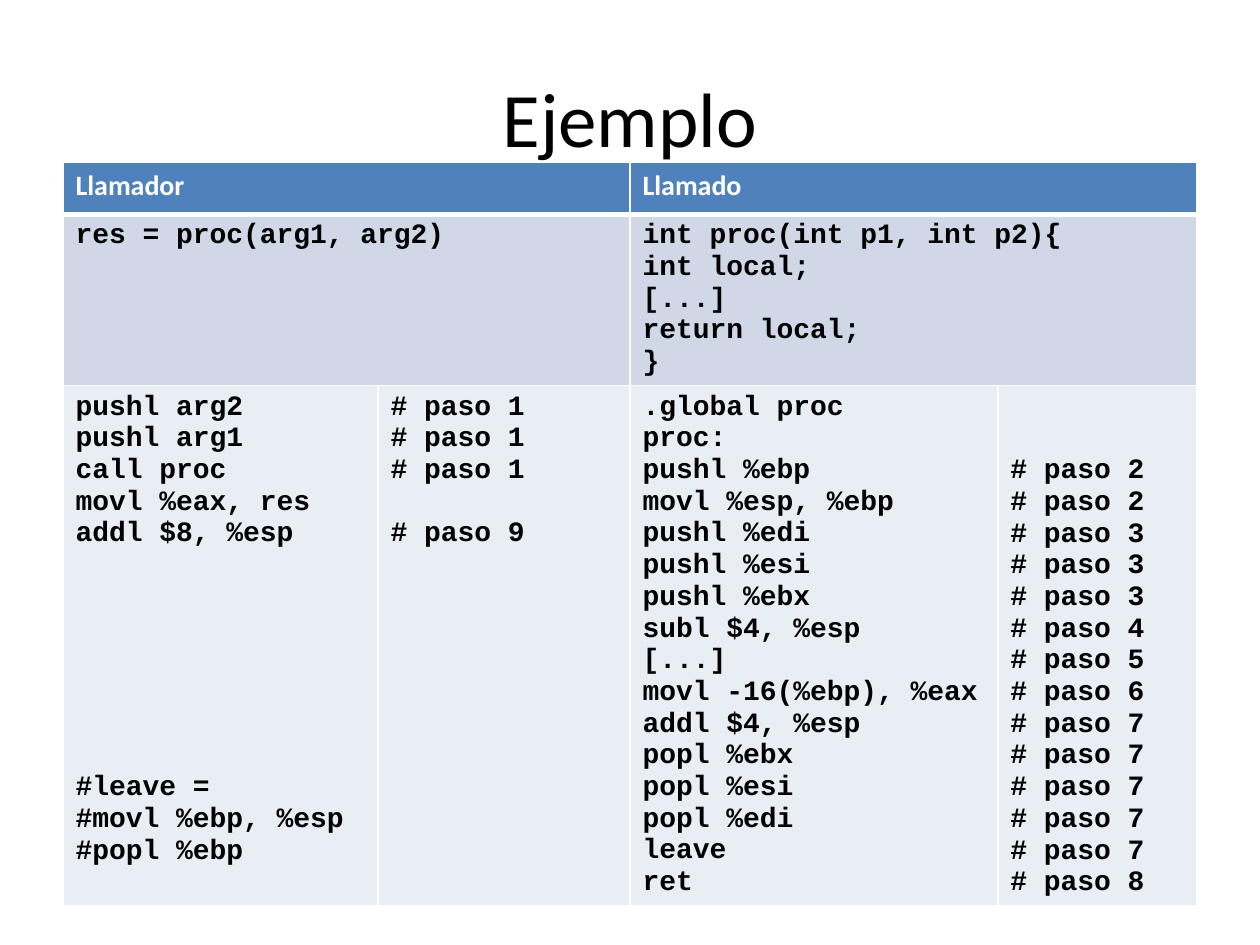
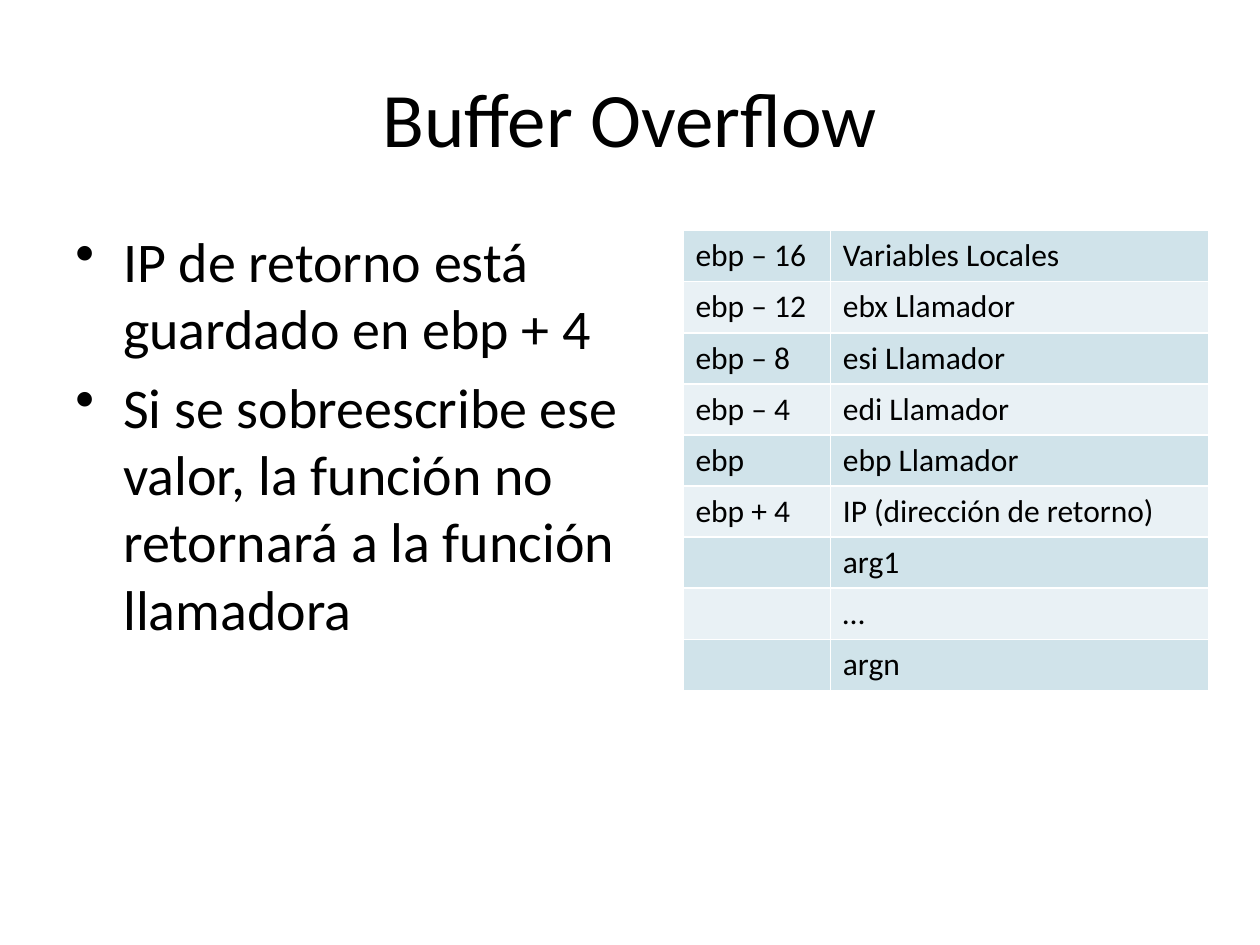
from pptx import Presentation, util as u
from pptx.dml.color import RGBColor
from pptx.enum import text
from pptx.oxml import parse_xml
from pptx.oxml.ns import nsdecls

Inches, Pt = u.Inches, u.Pt

COLOURS = {
    "ink": "000000",
    "white": "FFFFFF",
    "header": "4F81BD",
    "source code": "D0D8E8",
    "assembly": "E9EDF4",
    "stack dark": "D0E3EA",
    "stack light": "E9F1F5",
}
BODY_FONT, CODE_FONT = "Calibri", "Courier New"
CODE_LINE = Inches(0.252)  # height of one line of 16 point code


class Deck:
    """Holds the shared style and the slide being built."""

    def __init__(self):
        self.presentation = Presentation()
        self.presentation.slide_width = Inches(10)
        self.presentation.slide_height = Inches(7.5)
        self.slide = None

    def colour(self, name):
        return RGBColor.from_string(COLOURS[name])

    def format(self, paragraph, size, name=BODY_FONT, colour="ink", bold=False):
        font = paragraph.font
        font.size, font.name, font.bold = Pt(size), name, bold
        font.color.rgb = self.colour(colour)

    def add_slide(self, title):
        layout = self.presentation.slide_layouts[5]
        self.slide = self.presentation.slides.add_slide(layout)
        shape = self.slide.shapes.title
        shape.left, shape.top = Inches(0.5), Inches(0.3)
        shape.width, shape.height = Inches(9), Inches(1.25)
        shape.text_frame.text = title
        shape.text_frame.vertical_anchor = text.MSO_ANCHOR.MIDDLE
        paragraph = shape.text_frame.paragraphs[0]
        paragraph.alignment = text.PP_ALIGN.CENTER
        self.format(paragraph, 44)

    def add_bullets(self, left, top, width, height, items):
        shape = self.slide.shapes.add_textbox(
            Inches(left), Inches(top), Inches(width), Inches(height))
        frame = shape.text_frame
        frame.word_wrap = True
        frame.text = "\n".join(items)
        for paragraph in frame.paragraphs:
            self.format(paragraph, 32)
            paragraph.space_after = Pt(6.4)
            properties = paragraph._p.get_or_add_pPr()
            indent = Inches(0.38)
            properties.set("marL", str(indent))
            properties.set("indent", str(-indent))
            # The bullet goes ahead of the default run properties
            bullet = parse_xml(f'<a:buChar {nsdecls("a")} char="•"/>')
            properties.find("{*}defRPr").addprevious(bullet)

    def add_table(self, left, top, columns, rows):
        frame = self.slide.shapes.add_table(
            len(rows), len(columns), Inches(left), Inches(top),
            Inches(sum(columns)), Inches(sum(rows)))
        table = frame.table
        table.first_row = table.horz_banding = False
        for column, width in zip(table.columns, columns):
            column.width = Inches(width)
        for row, height in zip(table.rows, rows):
            row.height = Inches(height)
        return table

    def style_cell(self, cell, fill, top=1, bottom=1):
        properties = cell._tc.get_or_add_tcPr()
        for side, width in zip("LRTB", (1, 1, top, bottom)):
            properties.append(parse_xml(
                f'<a:ln{side} {nsdecls("a")} w="{Pt(width)}"><a:solidFill>'
                f'<a:srgbClr val="{COLOURS["white"]}"/></a:solidFill></a:ln{side}>'))
        cell.fill.solid()
        cell.fill.fore_color.rgb = self.colour(fill)

    def write_cell(self, cell, lines, size, **font):
        cell.text = "\n".join(lines)
        for paragraph in cell.text_frame.paragraphs:
            self.format(paragraph, size, **font)

    def write_code(self, cell, code, gaps=None):
        """Write code lines; gaps maps a line index to the free lines above it."""
        self.write_cell(cell, code, 16, name=CODE_FONT, bold=True)
        for index, count in (gaps or {}).items():
            if index == 0:
                cell.margin_top = Inches(0.05) + count * CODE_LINE
            else:
                cell.text_frame.paragraphs[index].space_before = count * CODE_LINE


def steps(*numbers):
    return [f"# paso {number}" for number in numbers]


def build_example(deck):
    deck.add_slide("Ejemplo")
    table = deck.add_table(0.5, 1.29, [2.5, 2, 2.92, 1.58], [0.41, 1.36, 4.13])

    # Bands: header, source code, assembly
    bands = [("header", 1, 3), ("source code", 3, 1), ("assembly", 1, 1)]
    for row, (fill, top, bottom) in enumerate(bands):
        for column in range(4):
            deck.style_cell(table.cell(row, column), fill, top, bottom)

    # Caller and callee each span two columns in the upper rows
    callee = ["int proc(int p1, int p2){", "int local;", "[...]",
              "return local;", "}"]
    sides = [("Llamador", ["res = proc(arg1, arg2)"]), ("Llamado", callee)]
    for column, (heading, code) in zip((0, 2), sides):
        for row in (0, 1):
            table.cell(row, column).merge(table.cell(row, column + 1))
        deck.write_cell(table.cell(0, column), [heading], 16,
                        colour="white", bold=True)
        deck.write_code(table.cell(1, column), code)

    # Assembly beside its steps
    caller_assembly = [
        "pushl arg2", "pushl arg1", "call proc", "movl %eax, res",
        "addl $8, %esp", "#leave =", "#movl %ebp, %esp", "#popl %ebp"]
    callee_assembly = [
        ".global proc", "proc:", "pushl %ebp", "movl %esp, %ebp",
        "pushl %edi", "pushl %esi", "pushl %ebx", "subl $4, %esp", "[...]",
        "movl -16(%ebp), %eax", "addl $4, %esp", "popl %ebx", "popl %esi",
        "popl %edi", "leave", "ret"]
    assembly = [
        (caller_assembly, {5: 7}),
        (steps(1, 1, 1, 9), {3: 1}),
        (callee_assembly, {}),
        (steps(2, 2, 3, 3, 3, 4, 5, 6, 7, 7, 7, 7, 7, 8), {0: 2}),
    ]
    for column, (code, gaps) in enumerate(assembly):
        deck.write_code(table.cell(2, column), code, gaps)


def build_overflow(deck):
    deck.add_slide("Buffer Overflow")
    deck.add_bullets(0.5, 1.75, 4.75, 4.95, [
        "IP de retorno está guardado en ebp + 4",
        "Si se sobreescribe ese valor, la función no retornará "
        "a la función llamadora"])

    # Stack layout, from the locals to the last argument
    stack = [
        ("ebp – 16", "Variables Locales"),
        ("ebp – 12", "ebx Llamador"),
        ("ebp – 8", "esi Llamador"),
        ("ebp – 4", "edi Llamador"),
        ("ebp", "ebp Llamador"),
        ("ebp + 4", "IP (dirección de retorno)"),
        ("", "arg1"),
        ("", "…"),
        ("", "argn"),
    ]
    table = deck.add_table(5.42, 1.83, [1.17, 3], [3.65 / len(stack)] * len(stack))
    for row, entry in enumerate(stack):
        fill = "stack light" if row % 2 else "stack dark"
        for column, content in enumerate(entry):
            cell = table.cell(row, column)
            deck.style_cell(cell, fill)
            deck.write_cell(cell, [content], 18)


def main():
    deck = Deck()
    build_example(deck)
    build_overflow(deck)
    deck.presentation.save("out.pptx")


if __name__ == "__main__":
    main()
